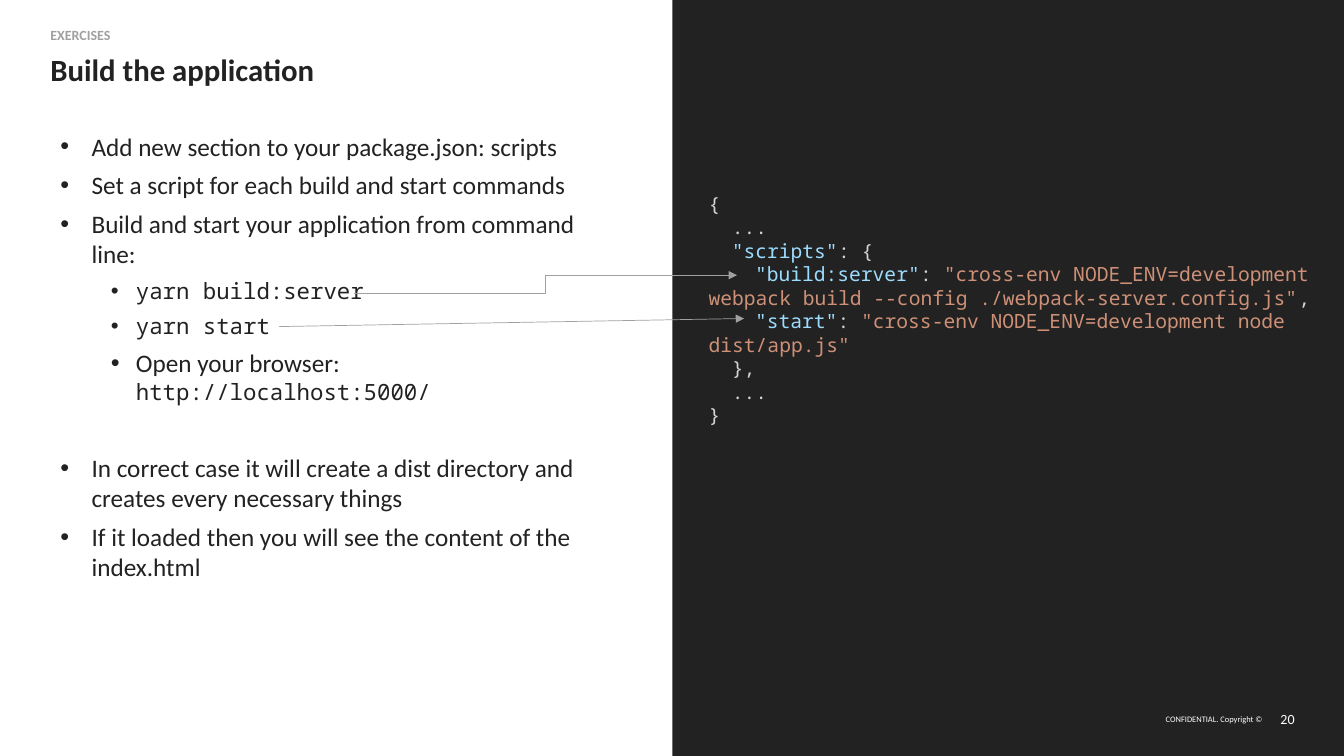
from lxml import etree
from pptx import Presentation
from pptx.dml.color import RGBColor
from pptx.enum.shapes import MSO_CONNECTOR, MSO_SHAPE
from pptx.enum.text import MSO_ANCHOR, PP_ALIGN
from pptx.oxml.ns import qn
from pptx.util import Pt

PX = 9144
WIDTH, HEIGHT = 1333, 750
HALF = 667

DARK = RGBColor(0x22, 0x22, 0x22)
WHITE = RGBColor(0xFF, 0xFF, 0xFF)
GRAY = RGBColor(0xA0, 0xA0, 0xA0)
CODE_PLAIN = RGBColor(0xD4, 0xD4, 0xD4)
CODE_KEY = RGBColor(0x9C, 0xDC, 0xFE)
CODE_STRING = RGBColor(0xCE, 0x91, 0x78)

TOP, MIDDLE = MSO_ANCHOR.TOP, MSO_ANCHOR.MIDDLE
LEFT, RIGHT = PP_ALIGN.LEFT, PP_ALIGN.RIGHT
STRAIGHT, ELBOW = MSO_CONNECTOR.STRAIGHT, MSO_CONNECTOR.ELBOW
RECTANGLE = MSO_SHAPE.RECTANGLE

SANS, MONO = "Calibri", "Noto Sans Mono"
BODY = {"name": SANS, "size": Pt(18)}
COMMAND = {"name": MONO, "size": Pt(16)}
CODE = {"name": MONO, "size": Pt(14)}
BULLET_INDENTS = [(31, -31), (75, -25)]
CODE_INDENT = 23
LINE_BREAK = None

STEPS = [
    (0, 6, [("Add new section to your package.json: scripts", BODY)]),
    (0, 6, [("Set a script for each build and start commands", BODY)]),
    (0, 6, [("Build and start your application from command line:", BODY)]),
    (1, 6, [("yarn build:server", COMMAND)]),
    (1, 6, [("yarn start", COMMAND)]),
    (1, 6, [("Open your browser:", BODY), (LINE_BREAK, BODY),
            ("http://localhost:5000/", COMMAND)]),
    (0, 34, [("In correct case it will create a dist directory and "
              "creates every necessary things", BODY)]),
    (0, 6, [("If it loaded then you will see the content of the index.html", BODY)]),
]

CODE_LINES = [
    (0, [("{", CODE_PLAIN)]),
    (1, [("...", CODE_PLAIN)]),
    (1, [('"scripts"', CODE_KEY), (": {", CODE_PLAIN)]),
    (2, [('"build:server"', CODE_KEY), (": ", CODE_PLAIN),
         ('"cross-env NODE_ENV=development webpack build '
          '--config ./webpack-server.config.js"', CODE_STRING),
         (",", CODE_PLAIN)]),
    (2, [('"start"', CODE_KEY), (": ", CODE_PLAIN),
         ('"cross-env NODE_ENV=development node dist/app.js"', CODE_STRING)]),
    (1, [("},", CODE_PLAIN)]),
    (1, [("...", CODE_PLAIN)]),
    (0, [("}", CODE_PLAIN)]),
]


def place(box, left, top, width, height):
    spots = {"left": left, "top": top, "width": width, "height": height}
    for name, value in spots.items():
        setattr(box, name, value * PX)


def set_frame(frame, anchor=TOP, inset=True):
    frame.word_wrap = True
    frame.vertical_anchor = anchor
    if not inset:
        for side in ("left", "top", "right", "bottom"):
            setattr(frame, f"margin_{side}", 0)


def add_span(para, text, color, font):
    if text is LINE_BREAK:
        para.add_line_break()
        return
    span = para.add_run()
    span.text = text
    span.font.color.rgb = color
    for name, value in font.items():
        setattr(span.font, name, value)


def set_indent(para, margin, first_line):
    properties = para._p.get_or_add_pPr()
    properties.set("marL", str(margin * PX))
    properties.set("indent", str(first_line * PX))
    return properties


def add_text_box(page, *area):
    return page.shapes.add_textbox(*(value * PX for value in area))


def add_paragraphs(frame, count):
    return [frame.paragraphs[0]] + [frame.add_paragraph() for _ in range(count - 1)]


def write_label(box, text, color, font, anchor=TOP, **para_format):
    set_frame(box.text_frame, anchor, inset=False)
    para = box.text_frame.paragraphs[0]
    for name, value in para_format.items():
        setattr(para, name, value)
    add_span(para, text, color, {"name": SANS, **font})


def add_steps(page):
    frame = add_text_box(page, 50, 125, 579, 451).text_frame
    set_frame(frame)
    for para, (level, gap, spans) in zip(add_paragraphs(frame, len(STEPS)), STEPS):
        para.level = level
        para.space_before = Pt(gap)
        properties = set_indent(para, *BULLET_INDENTS[level])
        etree.SubElement(properties, qn("a:buFont"), typeface="Arial")
        etree.SubElement(properties, qn("a:buChar"), char="•")
        for text, font in spans:
            add_span(para, text, DARK, font)


def add_code(page):
    frame = add_text_box(page, 693, 185, 618, 293).text_frame
    set_frame(frame)
    for para, (depth, spans) in zip(add_paragraphs(frame, len(CODE_LINES)), CODE_LINES):
        set_indent(para, 0, depth * CODE_INDENT)
        for text, color in spans:
            add_span(para, text, color, CODE)


def add_arrow(page, kind, *ends):
    arrow = page.shapes.add_connector(kind, *(value * PX for value in ends))
    arrow.line.color.rgb = GRAY
    arrow.line.width = Pt(0.5)
    etree.SubElement(arrow.line._get_or_add_ln(), qn("a:tailEnd"), type="triangle")
    etree.SubElement(arrow._element.spPr, qn("a:effectLst"))


def add_panel(page):
    panel = page.shapes.add_shape(RECTANGLE, HALF * PX, 0, (WIDTH - HALF) * PX, HEIGHT * PX)
    panel.shadow.inherit = False
    panel.fill.solid()
    panel.fill.fore_color.rgb = DARK
    panel.line.fill.background()


def main():
    deck = Presentation()
    deck.slide_width, deck.slide_height = WIDTH * PX, HEIGHT * PX
    page = deck.slides.add_slide(deck.slide_layouts[5])

    add_panel(page)
    write_label(add_text_box(page, 1149, 701, 103, 24), "CONFIDENTIAL. Copyright ©",
                WHITE, {"size": Pt(6)}, MIDDLE, alignment=RIGHT)
    write_label(add_text_box(page, 1257, 701, 27, 24), "20",
                WHITE, {"size": Pt(10)}, MIDDLE, alignment=RIGHT)
    write_label(add_text_box(page, 50, 25, 395, 25), "EXERCISES",
                GRAY, {"size": Pt(10), "bold": True},
                line_spacing=1.1, space_before=Pt(6))

    title = page.shapes.title
    place(title, 50, 50, 525, 50)
    write_label(title, "Build the application", DARK,
                {"size": Pt(22), "bold": True}, alignment=LEFT)

    add_steps(page)
    add_code(page)
    add_arrow(page, ELBOW, 351, 291, 731, 273)
    add_arrow(page, STRAIGHT, 277, 324, 738, 316)
    deck.save("out.pptx")


if __name__ == "__main__":
    main()
